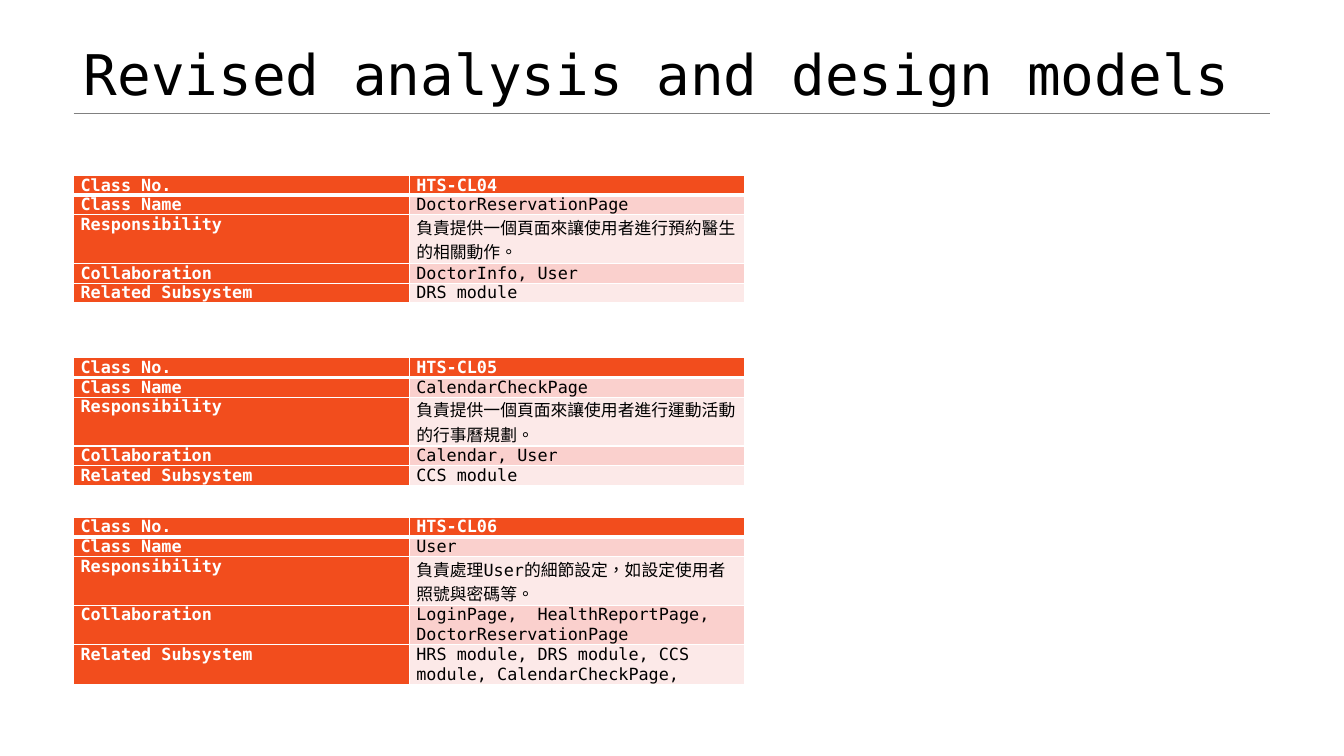
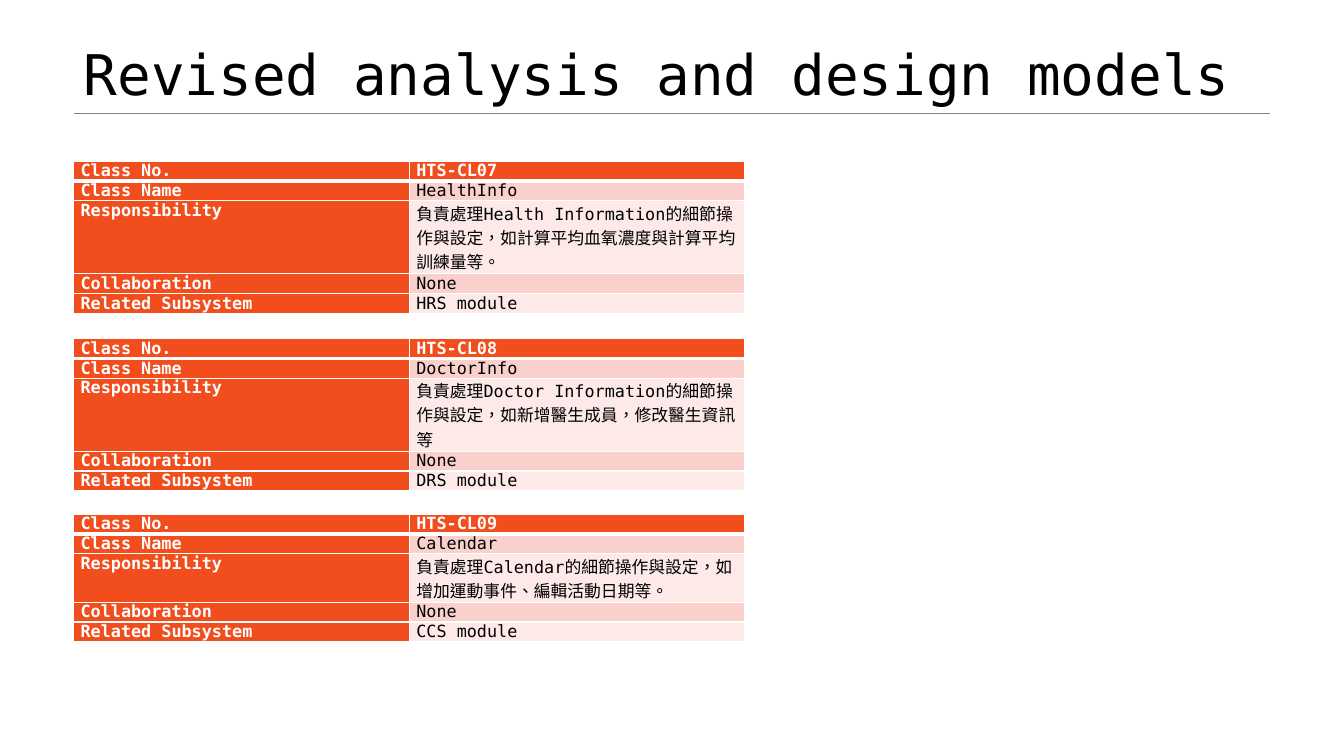
"""Build two slides of class cards, three tables on each."""
from lxml import etree
from pptx import Presentation
from pptx import util as u
from pptx.dml.color import RGBColor
from pptx.enum import lang, shapes, text
from pptx.oxml import ns

PX = 9144
FACE = "DejaVu Sans Mono"
TITLE = "Revised analysis and design models"
HEADS = ["Class No.", "Class Name", "Responsibility", "Collaboration", "Related Subsystem"]
ORANGE, PINK, PALE = "F24D1D", "FAD0CD", "FCE9E8"
WHITE, BLACK, GRAY = "FFFFFF", "000000", "808080"
LEFT, WIDE, RULE = 73, 1187, 112
COL, ROW = 333, 19

DECK = [
    [
        (174, ["HTS-CL04", "DoctorReservationPage",
               "負責提供一個頁面來讓使用者進行預約醫生的相關動作。",
               "DoctorInfo, User", "DRS module"]),
        (355, ["HTS-CL05", "CalendarCheckPage",
               "負責提供一個頁面來讓使用者進行運動活動的行事曆規劃。",
               "Calendar, User", "CCS module"]),
        (513, ["HTS-CL06", "User",
               "負責處理User的細節設定，如設定使用者照號與密碼等。",
               "LoginPage,  HealthReportPage, DoctorReservationPage",
               "HRS module, DRS module, CCS module, CalendarCheckPage,"]),
    ],
    [
        (160, ["HTS-CL07", "HealthInfo",
               "負責處理Health Information的細節操作與設定，如計算平均血氧濃度與計算平均訓練量等。",
               "None", "HRS module"]),
        (336, ["HTS-CL08", "DoctorInfo",
               "負責處理Doctor Information的細節操作與設定，如新增醫生成員，修改醫生資訊等",
               "None", "DRS module"]),
        (510, ["HTS-CL09", "Calendar",
               "負責處理Calendar的細節操作與設定，如增加運動事件、編輯活動日期等。",
               "None", "CCS module"]),
    ],
]


def rgb(code):
    return RGBColor.from_string(code)


def style(font, size, code, bold):
    look = {"name": FACE, "size": u.Pt(size), "bold": bold,
            "language_id": lang.MSO_LANGUAGE_ID.TRADITIONAL_CHINESE}
    for key, val in look.items():
        setattr(font, key, val)
    font.color.rgb = rgb(code)


deck = Presentation()
deck.slide_width, deck.slide_height = 1333 * PX, 750 * PX

for cards in DECK:
    slide = deck.slides.add_slide(deck.slide_layouts[5])
    rule = slide.shapes.add_connector(shapes.MSO_CONNECTOR.STRAIGHT, LEFT * PX, RULE * PX,
                                      (LEFT + WIDE) * PX, RULE * PX)
    rule.line.color.rgb = rgb(GRAY)
    rule.line.width = u.Pt(0.25)
    etree.SubElement(rule._element.spPr, ns.qn("a:effectLst"))

    title = slide.shapes.title
    place = {"left": LEFT, "top": 0, "width": WIDE, "height": RULE}
    for key, val in place.items():
        setattr(title, key, val * PX)
    frame = title.text_frame
    frame.text = TITLE
    frame.auto_size = text.MSO_AUTO_SIZE.NONE
    frame.vertical_anchor = text.MSO_ANCHOR.BOTTOM
    para = frame.paragraphs[0]
    para.alignment = text.PP_ALIGN.LEFT
    para.line_spacing = 0.9
    style(para.runs[0].font, 40, BLACK, False)

    for top, vals in cards:
        grid = slide.shapes.add_table(len(HEADS), 2, LEFT * PX, top * PX,
                                      2 * COL * PX, len(HEADS) * ROW * PX).table
        for row, pair in enumerate(zip(HEADS, vals)):
            for col, words in enumerate(pair):
                cell = grid.cell(row, col)
                cell.text = words
                pads = {"left": 7, "right": 7, "top": 0, "bottom": 0}
                for side, pad in pads.items():
                    setattr(cell, "margin_" + side, pad * PX)
                head = row == 0 or col == 0
                style(cell.text_frame.paragraphs[0].runs[0].font, 12,
                      WHITE if head else BLACK, head)

                edges = {"L": 1, "R": 1, "T": 3 if row == 1 else 1, "B": 3 if row == 0 else 1}
                props = cell._tc.get_or_add_tcPr()
                for side, size in edges.items():
                    edge = etree.SubElement(props, ns.qn("a:ln" + side), w=str(u.Pt(size)))
                    fill = etree.SubElement(edge, ns.qn("a:solidFill"))
                    etree.SubElement(fill, ns.qn("a:srgbClr"), val=WHITE)
                cell.fill.solid()
                cell.fill.fore_color.rgb = rgb(ORANGE if head else PINK if row % 2 else PALE)

deck.save("out.pptx")
